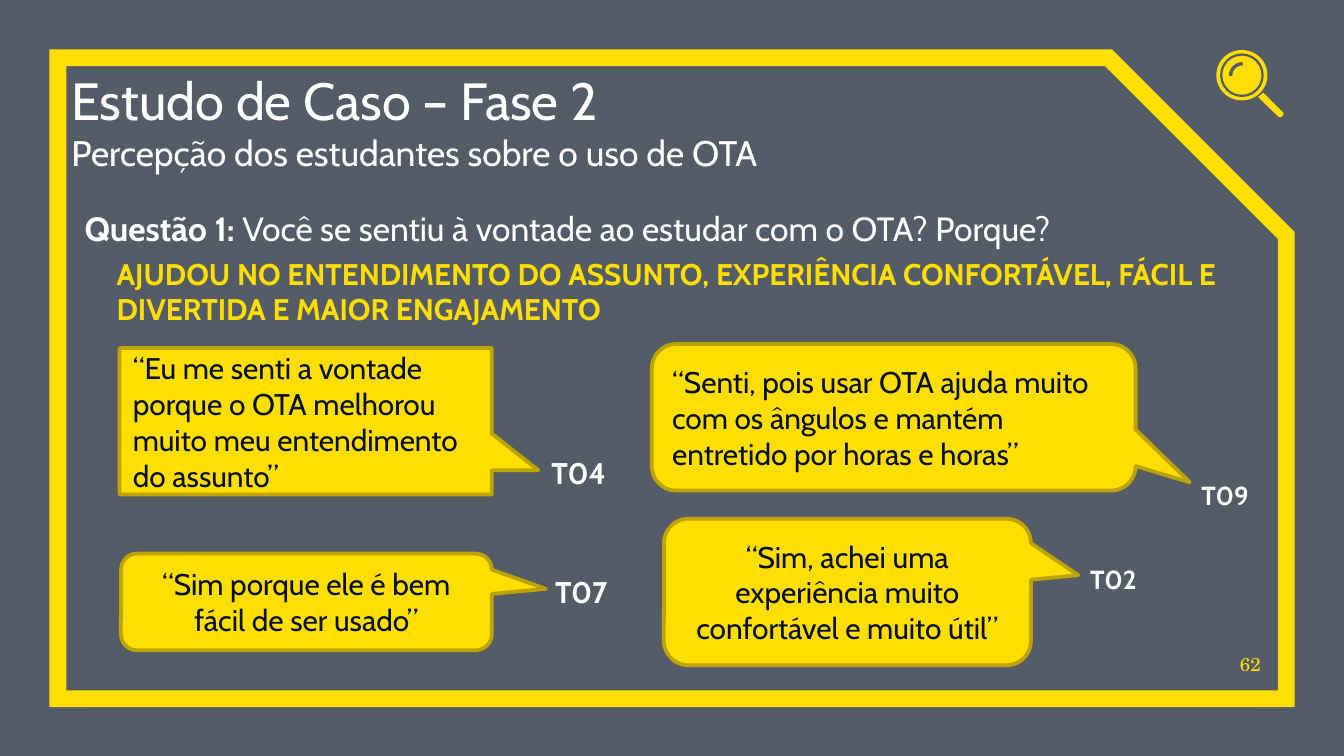
import pptx
import pptx.util
import pptx.dml.color
import pptx.enum.shapes
import pptx.enum.text
import pptx.oxml
import pptx.oxml.ns

Pt = pptx.util.Pt
RGB = pptx.dml.color.RGBColor.from_string
KIND = pptx.enum.shapes.MSO_SHAPE
ANCHOR = pptx.enum.text.MSO_ANCHOR
ALIGN = pptx.enum.text.PP_ALIGN
NS = pptx.oxml.ns.nsdecls("a")

THEME = {
    "back": "545C67", "gold": "FFDE00", "edge": "BDA400",
    "dark": "040F20", "white": "FFFFFF",
    "font": "Cabin", "serif": "TeX Gyre Schola",
    "title": 28, "sub": 19, "ask": 18, "body": 16, "small": 14, "page": 10,
}
SHADOW = (f'<a:effectLst {NS}><a:outerShdw blurRad="38100" dist="38100" dir="2700000">'
          '<a:srgbClr val="000000"><a:alpha val="43000"/></a:srgbClr>'
          '</a:outerShdw></a:effectLst>')


def draw(kind, box, fill=None, line=None, width=1):
    """Add a preset shape with the given fill and line colours."""
    shape = slide.shapes.add_shape(kind, *map(Pt, box))
    shape.shadow.inherit = False
    if fill:
        shape.fill.solid()
        shape.fill.fore_color.rgb = RGB(THEME[fill])
    else:
        shape.fill.background()
    if line:
        shape.line.color.rgb = RGB(THEME[line])
        shape.line.width = Pt(width)
    else:
        shape.line.fill.background()
    return shape


def write(shape, paras, align=ALIGN.LEFT, inset=None, **form):
    """Fill a shape with paragraphs of (text, size, colour, bold, font) runs."""
    frame = shape.text_frame
    base = {"word_wrap": True, "auto_size": pptx.enum.text.MSO_AUTO_SIZE.NONE}
    if inset is not None:
        for side in ("left", "top", "right", "bottom"):
            base["margin_" + side] = Pt(inset)
    for name, value in {**base, **form}.items():
        setattr(frame, name, value)
    for i, runs in enumerate(paras):
        para = frame.add_paragraph() if i else frame.paragraphs[0]
        para.alignment = align
        for text, size, color, bold, font in runs:
            run = para.add_run()
            run.text = text
            look = {"size": Pt(THEME[size]), "bold": bold, "name": THEME[font]}
            for name, value in look.items():
                setattr(run.font, name, value)
            run.font.color.rgb = RGB(THEME[color])


deck = pptx.Presentation()
deck.slide_width, deck.slide_height = Pt(720), Pt(405)
slide = deck.slides.add_slide(deck.slide_layouts[5])

# Background and frame
slide.background.fill.solid()
slide.background.fill.fore_color.rgb = RGB(THEME["back"])
rim = draw(KIND.SNIP_1_RECTANGLE, (31, 31, 658, 343.4), line="gold", width=9)
rim.adjustments[0] = 0.277
rim.line._get_or_add_ln().append(
    pptx.oxml.parse_xml(f'<a:miter {NS} lim="800000"/>'))

# Magnifying glass: lens, ring, glint and handle
draw(KIND.OVAL, (651.6, 26.8, 27.4, 27), fill="gold")
draw(KIND.OVAL, (654.2, 29.2, 22.2, 22.2), line="back", width=1.2)
glint = draw(KIND.ARC, (659.2, 34.1, 13, 13), line="back", width=1.8)
glint.rotation = -90
path = slide.shapes.build_freeform(Pt(676.8), Pt(49.7))
path.add_line_segments([(Pt(x), Pt(y)) for x, y in (
    (673.9, 52), (684.9, 62.6), (686.2, 62.9), (687.6, 61.6), (687.6, 60.5))])
handle = path.convert_to_shape()
handle.shadow.inherit = False
handle.fill.solid()
handle.fill.fore_color.rgb = RGB(THEME["gold"])
handle.line.fill.background()

# Title
title = slide.shapes.title
for name, value in zip(("left", "top", "width", "height"), (38.2, 38.9, 605.5, 54)):
    setattr(title, name, Pt(value))
write(title, [
    [("Estudo de Caso – Fase 2", "title", "white", False, "font")],
    [("Percepção dos estudantes sobre o uso de OTA", "sub", "white", False, "font")],
], inset=0, vertical_anchor=ANCHOR.BOTTOM)
for para in title.text_frame.paragraphs:
    for run in para.runs:
        fill = run.font._element.find(pptx.oxml.ns.qn("a:solidFill"))
        fill.addnext(pptx.oxml.parse_xml(SHADOW))

# Question, summary of the answers and page number
ask = slide.shapes.add_textbox(*map(Pt, (38.2, 108, 581, 28.8)))
write(ask, [[
    ("Questão 1: ", "ask", "white", True, "font"),
    ("Você se sentiu à vontade ao estudar com o OTA? Porque?",
     "ask", "white", False, "font")]])
gist = slide.shapes.add_textbox(*map(Pt, (55.4, 133.2, 609.8, 46.1)))
write(gist, [[("AJUDOU NO ENTENDIMENTO DO ASSUNTO, EXPERIÊNCIA CONFORTÁVEL, FÁCIL E "
               "DIVERTIDA E MAIOR ENGAJAMENTO", "body", "gold", True, "font")]])
page = slide.shapes.add_textbox(*map(Pt, (656, 341.3, 19.4, 20.2)))
write(page, [[("62", "page", "gold", False, "serif")]], ALIGN.RIGHT, 0,
      vertical_anchor=ANCHOR.BOTTOM)

# Quotes: kind, box, tail, alignment, text, then student, label place and size
RECT, ROUND = KIND.RECTANGULAR_CALLOUT, KIND.ROUNDED_RECTANGULAR_CALLOUT
quotes = [
    (RECT, (64.1, 186.5, 199.4, 78.5), (0.625, 0.334), ALIGN.LEFT,
     "“Eu me senti a vontade porque o OTA melhorou muito meu entendimento do assunto”",
     "T04", (287.3, 239.8), "body"),
    (ROUND, (349.2, 184.3, 259.2, 78.5), (0.612, 0.444), ALIGN.LEFT,
     "“Senti, pois usar OTA ajuda muito com os ângulos e mantém entretido "
     "por horas e horas”",
     "T09", (633.6, 253.4), "small"),
    (ROUND, (64.8, 296.6, 198.7, 51.8), (0.646, -0.135), ALIGN.CENTER,
     "“Sim porque ele é bem fácil de ser usado”",
     "T07", (288.7, 303.8), "body"),
    (ROUND, (355.7, 277.9, 196.6, 78.5), (0.629, -0.115), ALIGN.CENTER,
     "“Sim, achei uma experiência muito confortável e muito útil”",
     "T02", (573.8, 298.1), "small"),
]
for kind, box, tail, align, text, who, spot, size in quotes:
    quote = draw(kind, box, "gold", "edge", 2)
    quote.adjustments[0], quote.adjustments[1] = tail
    write(quote, [[(text, "body", "dark", False, "font")]], align,
          vertical_anchor=ANCHOR.MIDDLE)
    label = slide.shapes.add_textbox(*map(Pt, (*spot, 45.4, 26)))
    write(label, [[(who, size, "white", True, "font")]], ALIGN.CENTER)

deck.save("out.pptx")
